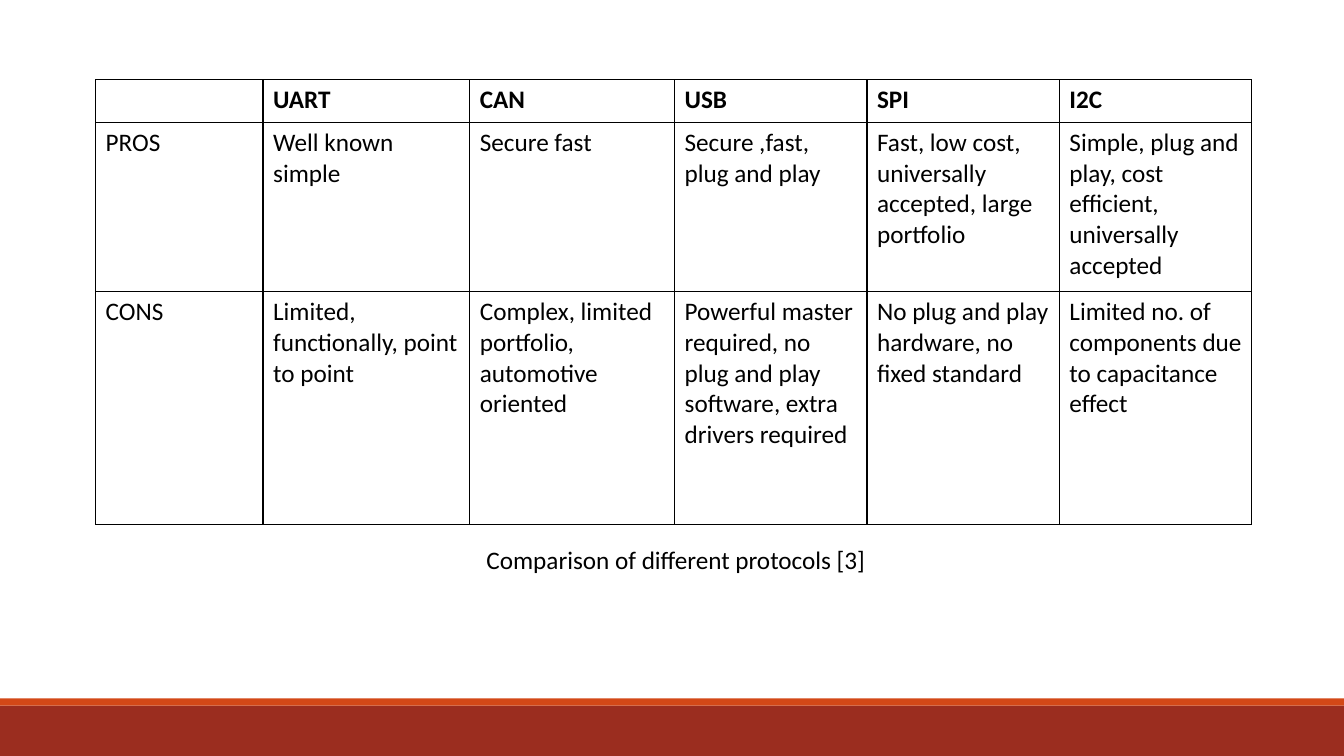
from dataclasses import dataclass

from lxml.etree import SubElement
from pptx import Presentation
from pptx.dml.color import RGBColor
from pptx.enum.shapes import MSO_SHAPE
from pptx.oxml.ns import qn
from pptx.util import Cm, Pt

PROTOCOLS = [
    ("", "UART", "CAN", "USB", "SPI", "I2C"),
    ("PROS", "Well known simple", "Secure fast", "Secure ,fast, plug and play",
     "Fast, low cost, universally accepted, large portfolio",
     "Simple, plug and play, cost efficient, universally accepted"),
    ("CONS", "Limited, functionally, point to point",
     "Complex, limited portfolio, automotive oriented",
     "Powerful master required, no plug and play software, extra drivers required",
     "No plug and play hardware, no fixed standard",
     "Limited no. of components due to capacitance effect"),
]
CAPTION = "Comparison of different protocols [3]"

SLIDE_WIDTH, SLIDE_HEIGHT = 33.87, 19.05
COLUMN_WIDTHS = [4.22, 5.21, 5.16, 4.85, 4.85, 4.85]
ROW_HEIGHTS = [1.07, 4.27, 5.87]
TABLE_LEFT, TABLE_TOP = 2.41, 2.01
BAND_HEIGHT, STRIPE_HEIGHT = 1.27, 0.18


@dataclass(frozen=True)
class Theme:
    font: str = "Calibri"
    size: Pt = Pt(18)
    border: Pt = Pt(1)
    ink: RGBColor = RGBColor(0x00, 0x00, 0x00)
    band: RGBColor = RGBColor(0x9B, 0x2D, 0x1F)
    stripe: RGBColor = RGBColor(0xD3, 0x48, 0x17)


THEME = Theme()


def style_text(paragraph, bold=False):
    font = paragraph.font
    font.name, font.size, font.bold = THEME.font, THEME.size, bold
    font.color.rgb = THEME.ink


def add_borders(cell):
    properties = cell._tc.get_or_add_tcPr()
    for side in ("lnL", "lnR", "lnT", "lnB"):
        line = SubElement(properties, qn(f"a:{side}"), w=str(THEME.border))
        fill = SubElement(line, qn("a:solidFill"))
        SubElement(fill, qn("a:srgbClr"), val=str(THEME.ink))


def add_footer_bar(slide, top, height, color):
    bar = slide.shapes.add_shape(MSO_SHAPE.RECTANGLE, 0, Cm(top), Cm(SLIDE_WIDTH), Cm(height))
    bar.shadow.inherit = False
    bar.fill.solid()
    bar.fill.fore_color.rgb = color
    bar.line.fill.background()


def add_protocol_table(slide):
    table = slide.shapes.add_table(
        len(PROTOCOLS), len(COLUMN_WIDTHS), Cm(TABLE_LEFT), Cm(TABLE_TOP),
        Cm(sum(COLUMN_WIDTHS)), Cm(sum(ROW_HEIGHTS))).table
    table.first_row = table.horz_banding = False
    for column, width in zip(table.columns, COLUMN_WIDTHS):
        column.width = Cm(width)
    for r, (row, height) in enumerate(zip(table.rows, ROW_HEIGHTS)):
        row.height = Cm(height)
        for cell, wording in zip(row.cells, PROTOCOLS[r]):
            cell.text = wording
            style_text(cell.text_frame.paragraphs[0], bold=r == 0)
            add_borders(cell)
            cell.fill.background()


def add_caption(slide):
    caption = slide.shapes.add_textbox(Cm(12.01), Cm(13.59), Cm(11.02), Cm(1.02)).text_frame
    caption.word_wrap = True
    caption.text = CAPTION
    style_text(caption.paragraphs[0])


def main():
    deck = Presentation()
    deck.slide_width, deck.slide_height = Cm(SLIDE_WIDTH), Cm(SLIDE_HEIGHT)
    slide = deck.slides.add_slide(deck.slide_layouts[6])
    band_top = SLIDE_HEIGHT - BAND_HEIGHT
    add_footer_bar(slide, band_top, BAND_HEIGHT, THEME.band)
    add_footer_bar(slide, band_top - STRIPE_HEIGHT, STRIPE_HEIGHT, THEME.stripe)
    add_protocol_table(slide)
    add_caption(slide)
    deck.save("out.pptx")


if __name__ == "__main__":
    main()
